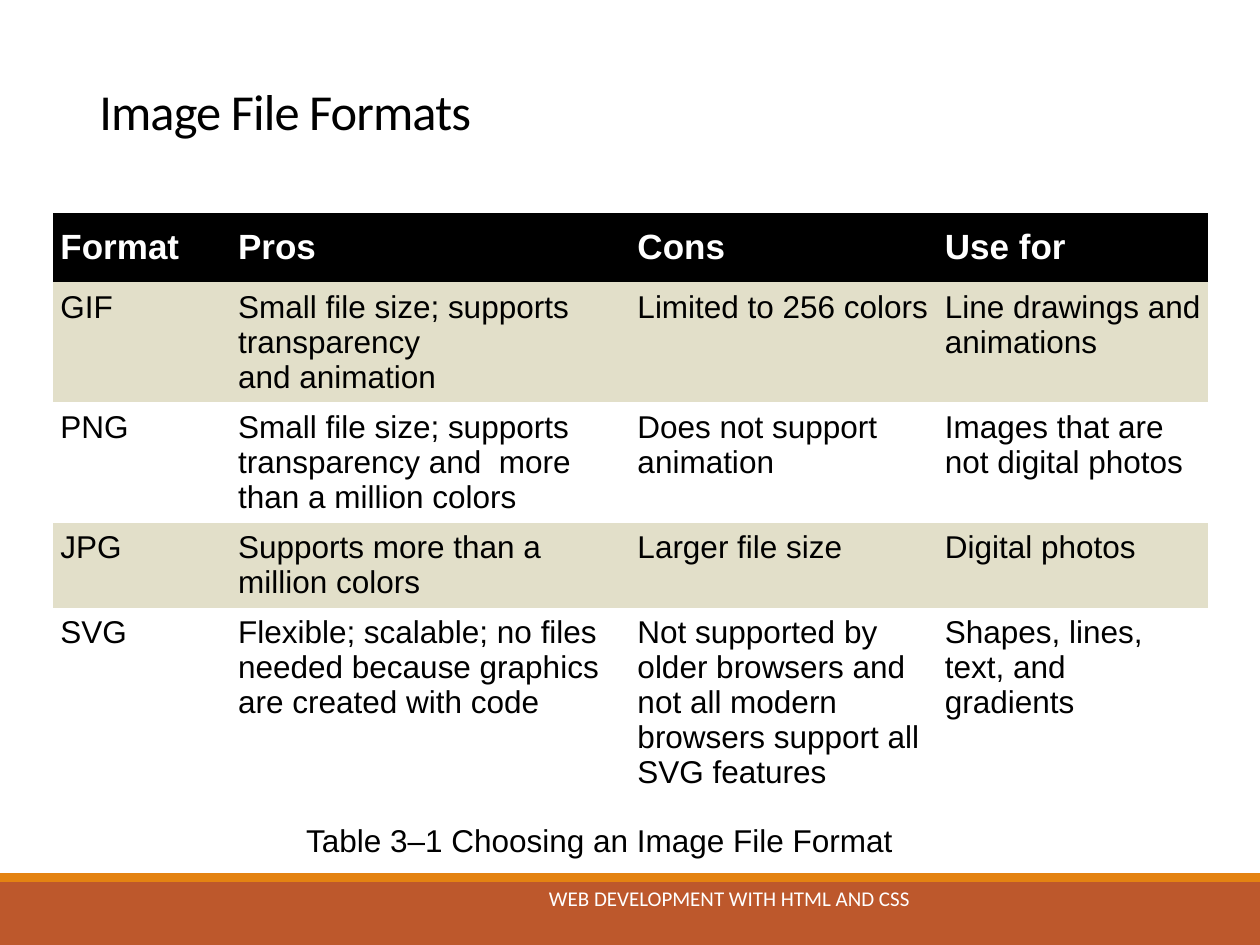
from dataclasses import dataclass

from pptx import Presentation
from pptx.dml.color import RGBColor as RGB
from pptx.enum.shapes import MSO_SHAPE as SHAPE
from pptx.enum.text import MSO_ANCHOR as ANCHOR, PP_ALIGN as ALIGN
from pptx.util import Inches, Pt

# Content
TITLE = "Image File Formats"
CAPTION = "Table 3–1 Choosing an Image File Format"
FOOTER = "WEB DEVELOPMENT WITH HTML AND CSS"
ROWS = [
    ("Format", "Pros", "Cons", "Use for"),
    ("GIF", "Small file size; supports transparency \nand animation",
     "Limited to 256 colors", "Line drawings and animations"),
    ("PNG", "Small file size; supports transparency and  more than a million colors",
     "Does not support animation", "Images that are not digital photos"),
    ("JPG", "Supports more than a million colors", "Larger file size", "Digital photos"),
    ("SVG", "Flexible; scalable; no files needed because graphics are created with code",
     "Not supported by older browsers and not all modern browsers support all SVG features",
     "Shapes, lines, text, and gradients"),
]
COL_WIDTHS = (1.41, 3.17, 2.44, 2.15)
ROW_HEIGHTS = (0.55, 0.8, 0.8, 0.5, 0.8)
TABLE_BOX = (0.42, 1.69, sum(COL_WIDTHS), 4.6)
PLAIN_TABLE = "{2D5ABB26-0587-4C30-8999-92F81FD0307C}"  # no style, no grid


@dataclass(frozen=True)
class Theme:
    black: str = "000000"
    white: str = "FFFFFF"
    band: str = "E2DFC9"
    bar: str = "BD582C"
    stripe: str = "E48312"
    heading_font: str = "Calibri"
    body_font: str = "Arial"
    title: float = 28.8
    header: float = 20
    body: float = 18
    footer: float = 12


T = Theme()


def write(p, text, size, font, color, bold=False):
    """Add text to a paragraph, one run for each line."""
    for i, line in enumerate(text.split("\n")):
        if i:
            p.add_line_break()
        r = p.add_run()
        r.text = line
        r.font.size, r.font.name, r.font.bold = Pt(size), font, bold
        r.font.color.rgb = RGB.from_string(color)
    return r


def space(p, line, before=0, after=0):
    p.line_spacing, p.space_before, p.space_after = line, Pt(before), Pt(after)


def add_text(s, box, anchor):
    tf = s.shapes.add_textbox(*map(Inches, box)).text_frame
    tf.word_wrap, tf.vertical_anchor = True, anchor
    return tf, tf.paragraphs[0]


def add_bar(s, top, height, color):
    sp = s.shapes.add_shape(SHAPE.RECTANGLE, 0, Inches(top), Inches(10), Inches(height))
    sp.shadow.inherit = False
    sp.fill.solid()
    sp.fill.fore_color.rgb = RGB.from_string(color)
    sp.line.fill.background()


def fill_cell(cell, text, row):
    cell.margin_left = cell.margin_right = Inches(0.06)
    cell.margin_top = cell.margin_bottom = Inches(0.06)
    p = cell.text_frame.paragraphs[0]
    if row == 0:
        space(p, 1.2, 13, 8)
        write(p, text, T.header, T.body_font, T.white, bold=True)
    else:
        space(p, Pt(20))
        write(p, text, T.body, T.body_font, T.black)
    if row == 0 or row % 2:
        cell.fill.solid()
        cell.fill.fore_color.rgb = RGB.from_string(T.band if row else T.black)
    else:
        cell.fill.background()


def add_formats_table(s):
    frame = s.shapes.add_table(len(ROWS), len(COL_WIDTHS), *map(Inches, TABLE_BOX))
    table = frame.table
    table.horz_banding = False
    table._tbl.tblPr.find("{*}tableStyleId").text = PLAIN_TABLE
    for col, width in zip(table.columns, COL_WIDTHS):
        col.width = Inches(width)
    for i, (row, height) in enumerate(zip(table.rows, ROW_HEIGHTS)):
        row.height = Inches(height)
        for cell, text in zip(row.cells, ROWS[i]):
            fill_cell(cell, text, i)
    frame.height = Inches(TABLE_BOX[3])


def main():
    prs = Presentation()
    prs.slide_width, prs.slide_height = Inches(10), Inches(7.5)
    s = prs.slides.add_slide(prs.slide_layouts[6])

    # Bottom bars
    add_bar(s, 7, 0.5, T.bar)
    add_bar(s, 6.93, 0.07, T.stripe)

    add_formats_table(s)

    # Footer
    tf, p = add_text(s, (1.75, 6.93, 8.08, 0.4), ANCHOR.MIDDLE)
    p.alignment = ALIGN.CENTER
    write(p, FOOTER, T.footer, T.heading_font, T.white)

    # Title, slightly tightened
    tf, p = add_text(s, (0.69, 0.17, 8.62, 1), ANCHOR.BOTTOM)
    space(p, 0.85)
    r = write(p, TITLE, T.title, T.heading_font, T.black)
    r.font._element.set("spc", "-50")

    # Table caption
    tf, p = add_text(s, (2.43, 6.5, 5.15, 0.23), ANCHOR.TOP)
    tf.margin_left = tf.margin_right = 0
    space(p, 0.9, 12, 2)
    write(p, CAPTION, T.body, T.body_font, T.black)

    prs.save("out.pptx")


if __name__ == "__main__":
    main()
